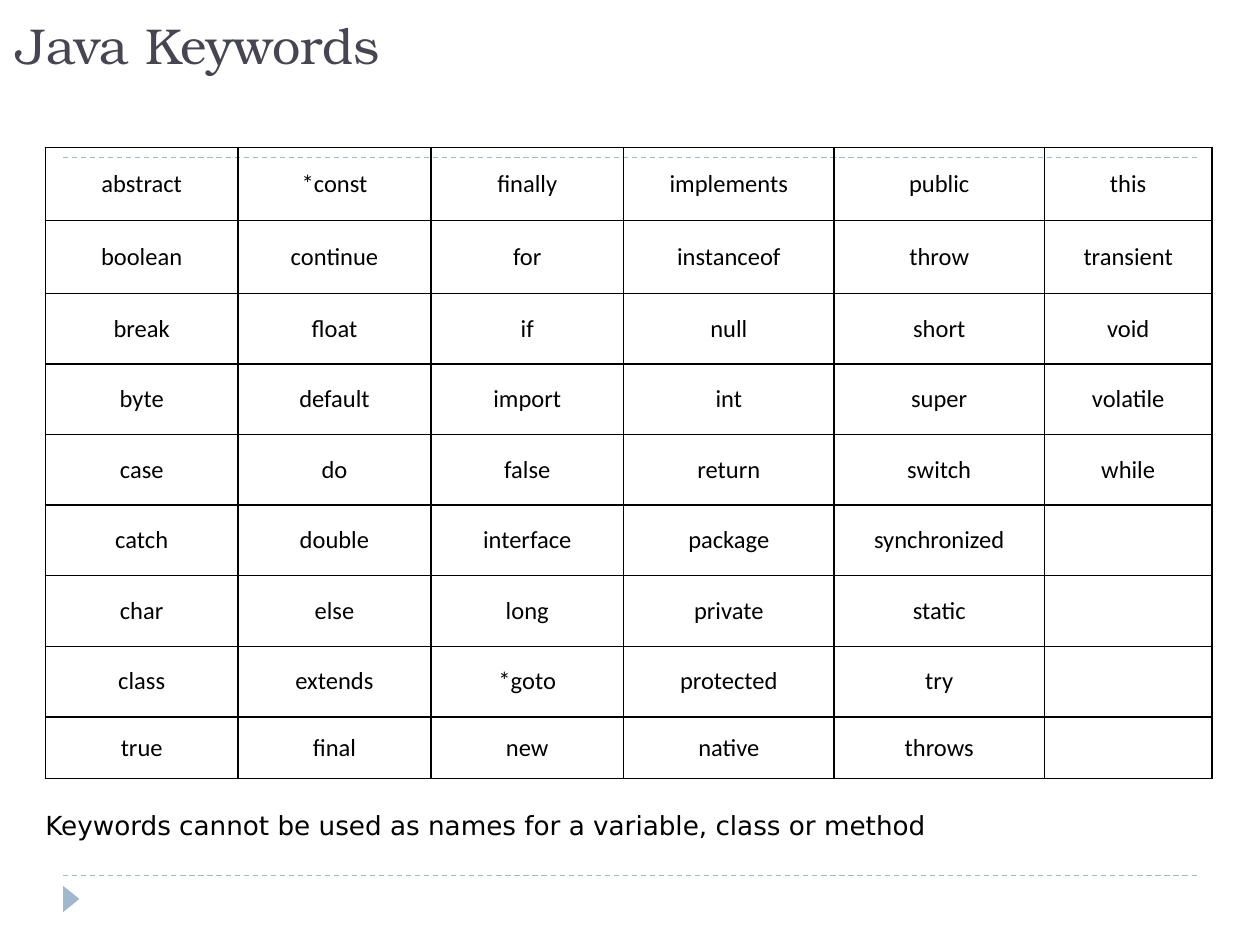
from dataclasses import dataclass

from lxml.etree import SubElement
from pptx import Presentation
from pptx.dml.color import RGBColor
from pptx.enum.dml import MSO_LINE
from pptx.enum.shapes import MSO_CONNECTOR, MSO_SHAPE
from pptx.enum.text import MSO_ANCHOR, PP_ALIGN
from pptx.oxml import parse_xml
from pptx.oxml.ns import nsdecls, qn
from pptx.util import Inches, Pt

COLORS = {"title": "464653", "text": "000000", "border": "000000", "accent": "9FB8CD"}

COL_WIDTHS = [1.53] * 3 + [1.67] * 2 + [1.33]
ROW_HEIGHTS = [0.58] * 2 + [0.56] * 6 + [0.49]
KEYWORD_COLUMNS = [
    "abstract boolean break byte case catch char class true",
    "*const continue float default do double else extends final",
    "finally for if import false interface long *goto new",
    "implements instanceof null int return package private protected native",
    "public throw short super switch synchronized static try throws",
    "this transient void volatile while",
]


@dataclass
class Label:
    text: str
    box: tuple[float, float, float, float]
    font: str
    size: float
    color: str
    frame: dict


LABELS = [
    Label("Java Keywords", (0.03, 0.17, 7.31, 0.47), "TeX Gyre Bonum", 28.8, "title",
          {"vertical_anchor": MSO_ANCHOR.BOTTOM, "word_wrap": True}),
    Label("Keywords cannot be used as names for a variable, class or method",
          (0.36, 6.42, 7.1, 0.25), "DejaVu Sans", 15, "text",
          {"word_wrap": False, "margin_left": 0, "margin_right": 0,
           "margin_top": 0, "margin_bottom": 0}),
]


def rgb(name: str) -> RGBColor:
    return RGBColor.from_string(COLORS[name])


def set_attrs(obj, values: dict) -> None:
    for name, value in values.items():
        setattr(obj, name, value)


def add_run(p, text: str, font: str, size: float, color: str) -> None:
    r = p.add_run()
    r.text = text
    set_attrs(r.font, {"name": font, "size": Pt(size)})
    r.font.color.rgb = rgb(color)


def add_label(s, label: Label) -> None:
    tf = s.shapes.add_textbox(*map(Inches, label.box)).text_frame
    set_attrs(tf, label.frame)
    add_run(tf.paragraphs[0], label.text, label.font, label.size, label.color)


def add_rule(s, y: float) -> None:
    line = s.shapes.add_connector(
        MSO_CONNECTOR.STRAIGHT, Inches(0.5), Inches(y), Inches(9.5), Inches(y))
    set_attrs(line.line, {"width": Pt(0.75), "dash_style": MSO_LINE.DASH})
    line.line.color.rgb = rgb("accent")
    SubElement(line._element.spPr, qn("a:effectLst"))


def add_marker(s) -> None:
    sp = s.shapes.add_shape(
        MSO_SHAPE.ISOSCELES_TRIANGLE, *map(Inches, (0.46, 7.07, 0.21, 0.13)))
    sp.rotation = 90
    sp.shadow.inherit = False
    sp.fill.solid()
    sp.fill.fore_color.rgb = rgb("accent")
    sp.line.fill.background()


def style_cell(cell) -> None:
    """Give the cell a 1 pt border on every side and no fill."""
    tc_pr = cell._tc.get_or_add_tcPr()
    for side in "LRTB":
        tc_pr.append(parse_xml(
            f'<a:ln{side} {nsdecls("a")} w="{Pt(1)}"><a:solidFill>'
            f'<a:srgbClr val="{COLORS["border"]}"/></a:solidFill></a:ln{side}>'))
    cell.fill.background()
    cell.vertical_anchor = MSO_ANCHOR.MIDDLE


def add_keyword_table(s) -> None:
    table = s.shapes.add_table(
        len(ROW_HEIGHTS), len(COL_WIDTHS), Inches(0.36), Inches(1.17),
        Inches(sum(COL_WIDTHS)), Inches(sum(ROW_HEIGHTS))).table
    set_attrs(table, {"first_row": False, "horz_banding": False})
    for col, width in zip(table.columns, COL_WIDTHS):
        col.width = Inches(width)
    for row, height in zip(table.rows, ROW_HEIGHTS):
        row.height = Inches(height)
    for cell in table.iter_cells():
        style_cell(cell)
    for c, words in enumerate(KEYWORD_COLUMNS):
        for r, word in enumerate(words.split()):
            p = table.cell(r, c).text_frame.paragraphs[0]
            p.alignment = PP_ALIGN.CENTER
            p_pr = p._p.get_or_add_pPr()
            p_pr.set("marL", str(Inches(0.25)))
            p_pr.set("indent", str(Inches(-0.25)))
            add_run(p, word, "Calibri", 14, "text")


def main() -> None:
    prs = Presentation()
    set_attrs(prs, {"slide_width": Inches(10), "slide_height": Inches(7.5)})
    s = prs.slides.add_slide(prs.slide_layouts[6])
    for y in (6.95, 1.25):
        add_rule(s, y)
    add_marker(s)
    title, note = LABELS
    add_label(s, title)
    add_keyword_table(s)
    add_label(s, note)
    prs.save("out.pptx")


if __name__ == "__main__":
    main()
